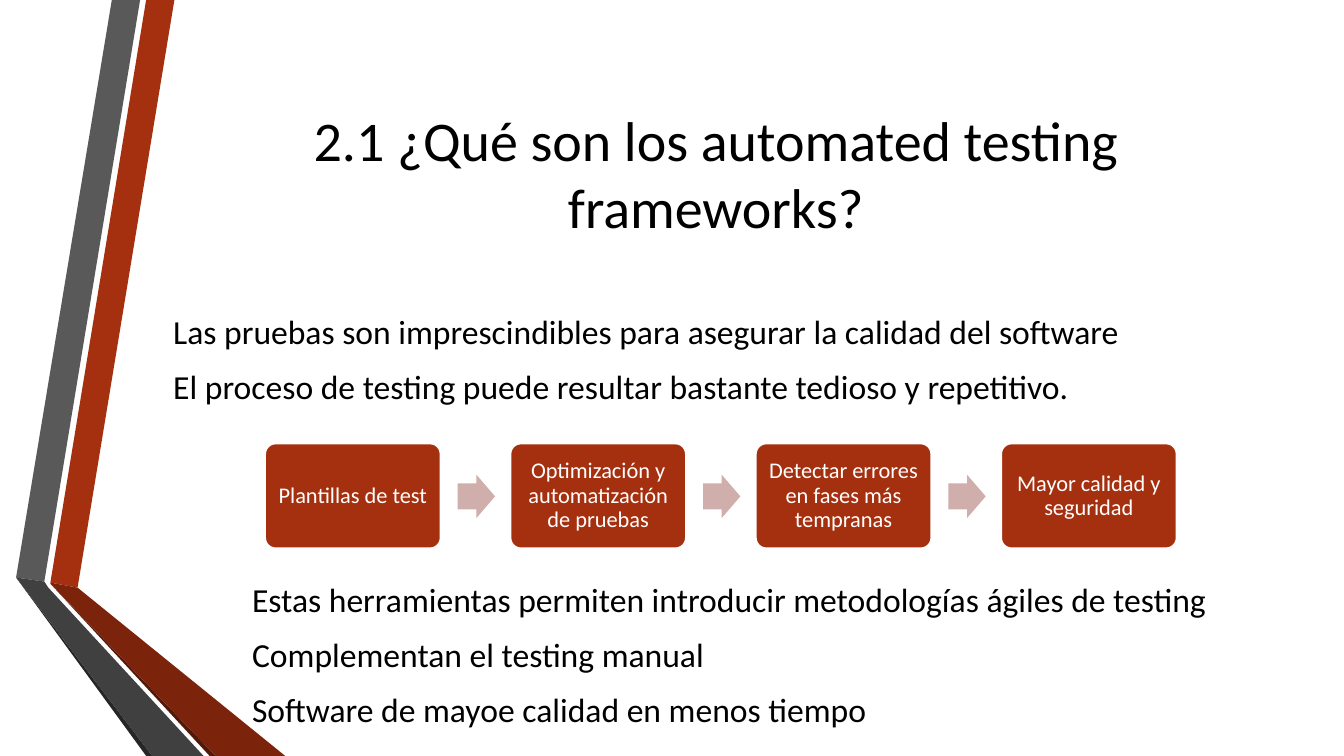
import pptx
import pptx.dml.color
import pptx.enum.shapes
import pptx.enum.text
import pptx.util

Inches = pptx.util.Inches
Pt = pptx.util.Pt
RGBColor = pptx.dml.color.RGBColor
SHAPES = pptx.enum.shapes.MSO_SHAPE
ALIGN = pptx.enum.text.PP_ALIGN
MIDDLE = pptx.enum.text.MSO_ANCHOR.MIDDLE

BLACK = RGBColor(0x00, 0x00, 0x00)
WHITE = RGBColor(0xFF, 0xFF, 0xFF)
RUST = RGBColor(0xA5, 0x30, 0x0F)
RUST_DARK = RGBColor(0x7C, 0x24, 0x0B)
RUST_DEEP = RGBColor(0x52, 0x18, 0x08)
GRAY = RGBColor(0x59, 0x59, 0x59)
GRAY_DARK = RGBColor(0x40, 0x40, 0x40)
GRAY_DEEP = RGBColor(0x26, 0x26, 0x26)
PINK = RGBColor(0xCF, 0xAE, 0xAB)


class SlideBuilder:
    font = "Calibri"

    def __init__(self, slide):
        self.slide = slide

    def paint(self, shape, fill, line=None):
        shape.shadow.inherit = False
        shape.fill.solid()
        shape.fill.fore_color.rgb = fill
        if line is None:
            shape.line.fill.background()
        else:
            shape.line.color.rgb = line
            shape.line.width = Pt(1.25)

    def band(self, points, fill):
        corners = [(Inches(x), Inches(y)) for x, y in points]
        outline = self.slide.shapes.build_freeform(*corners[0])
        outline.add_line_segments(corners[1:], close=True)
        self.paint(outline.convert_to_shape(), fill)

    def fill_text(self, frame, lines, size, color, align, before=0, after=0, spacing=None):
        frame.word_wrap = True
        frame.vertical_anchor = MIDDLE
        for number, line in enumerate(lines):
            paragraph = frame.add_paragraph() if number else frame.paragraphs[0]
            paragraph.alignment = align
            paragraph.space_before = Pt(before)
            paragraph.space_after = Pt(after)
            paragraph.line_spacing = spacing
            run = paragraph.add_run()
            run.text = line
            run.font.name = self.font
            run.font.size = Pt(size)
            run.font.color.rgb = color

    def text(self, box, lines, size, align=ALIGN.LEFT, indent=0, **gaps):
        frame = self.slide.shapes.add_textbox(*map(Inches, box)).text_frame
        frame.margin_left = Inches(0.1 + indent)
        self.fill_text(frame, lines, size, BLACK, align, **gaps)

    def step(self, box, label):
        shape = self.slide.shapes.add_shape(SHAPES.ROUNDED_RECTANGLE, *map(Inches, box))
        shape.adjustments[0] = 0.1
        self.paint(shape, RUST, WHITE)
        frame = shape.text_frame
        frame.margin_left = frame.margin_right = Inches(0.07)
        frame.margin_top = frame.margin_bottom = Inches(0.07)
        self.fill_text(frame, [label], 16, WHITE, ALIGN.CENTER, spacing=0.9)

    def arrow(self, box):
        shape = self.slide.shapes.add_shape(SHAPES.RIGHT_ARROW, *map(Inches, box))
        shape.adjustments[0] = 0.6
        shape.adjustments[1] = 0.5
        self.paint(shape, PINK)


def main():
    deck = pptx.Presentation()
    deck.slide_width = Inches(13.33)
    deck.slide_height = Inches(7.5)
    page = SlideBuilder(deck.slides.add_slide(deck.slide_layouts[6]))

    # Folded bands on the left
    bands = [
        ([(0.5, 5.78), (0.77, 5.83), (1.73, 0), (1.45, 0)], RUST),
        ([(1.39, 0), (1.11, 0), (0.16, 5.73), (0.44, 5.77)], GRAY),
        ([(0.16, 5.73), (1.45, 7.5), (1.51, 7.5)], GRAY_DEEP),
        ([(0.5, 5.79), (2.08, 7.5), (2.14, 7.5)], RUST_DEEP),
        ([(0.5, 5.78), (0.5, 5.79), (2.14, 7.5), (2.83, 7.5), (0.77, 5.83)], RUST_DARK),
        ([(2.02, 7.5), (0.48, 5.83), (0.44, 5.77), (0.16, 5.73), (1.51, 7.5)], GRAY_DARK),
    ]
    for points, fill in bands:
        page.band(points, fill)

    # Title and body text
    left, width = 1.62, 10.96
    page.text((left, 0.75, width, 1.92),
              ["2.1 ¿Qué son los automated testing frameworks?"], 40, ALIGN.CENTER)
    page.text((left, 2.92, width, 1.28), [
        "Las pruebas son imprescindibles para asegurar la calidad del software",
        "El proceso de testing puede resultar bastante tedioso y repetitivo.",
    ], 24, before=4.5, after=6)
    page.text((left, 5.47, width, 2.03), [
        "Estas herramientas permiten introducir metodologías ágiles de testing",
        "Complementan el testing manual",
        "Software de mayoe calidad en menos tiempo",
    ], 24, indent=0.78, before=4.5, after=6)

    # Process steps joined by arrows
    steps = [
        "Plantillas de test",
        "Optimización y automatización de pruebas",
        "Detectar errores en fases más tempranas",
        "Mayor calidad y seguridad",
    ]
    first, last = 2.63, 9.93
    pitch = (last - first) / (len(steps) - 1)
    for number, label in enumerate(steps):
        step_left = first + number * pitch
        page.step((step_left, 4.4, 1.74, 1.04), label)
        if number < len(steps) - 1:
            page.arrow((step_left + 1.91, 4.71, 0.37, 0.43))

    deck.save("out.pptx")


if __name__ == "__main__":
    main()
